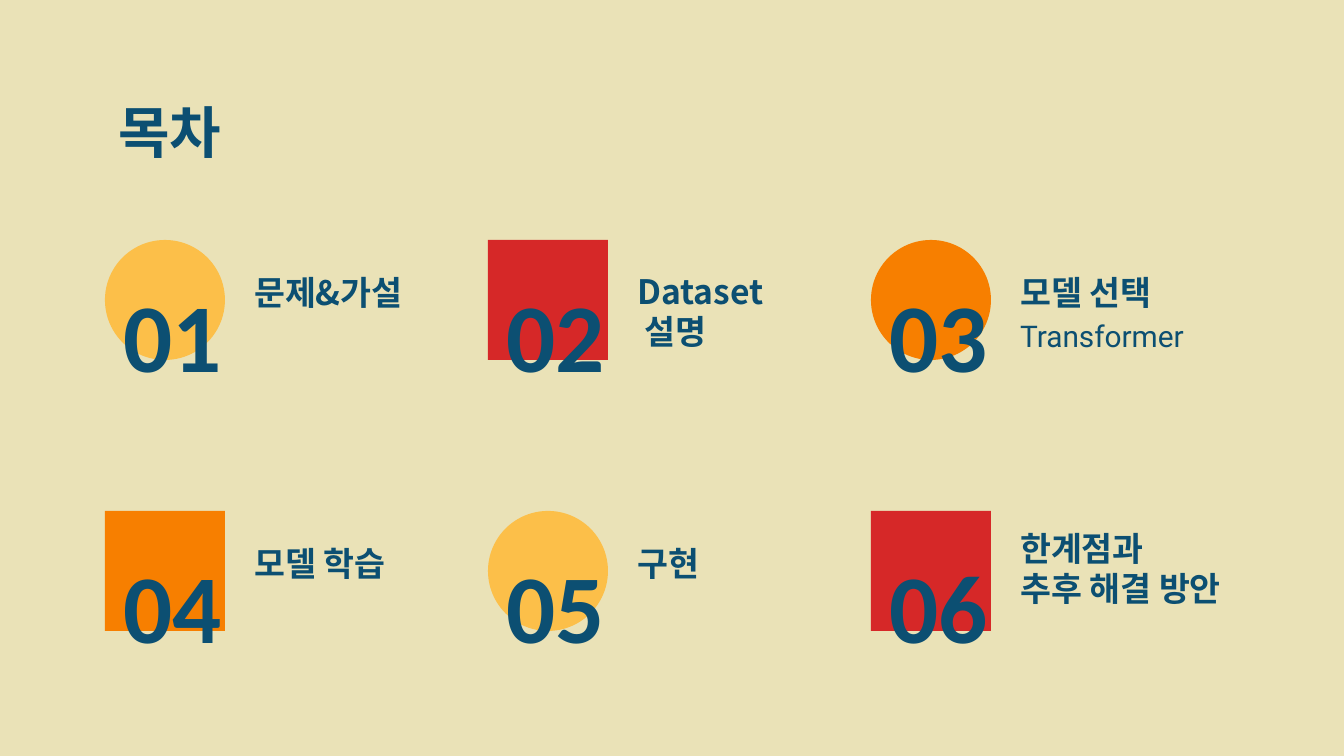
from dataclasses import dataclass

from lxml import etree
from pptx import Presentation
from pptx import util as u
from pptx.dml.color import RGBColor
from pptx.enum import shapes, text
from pptx.oxml.ns import qn


@dataclass(frozen=True)
class Theme:
    back: str = "EAE2B7"
    ink: str = "0C4F72"
    gold: str = "FCBF49"
    red: str = "D62828"
    orange: str = "F77F00"
    latin: str = "Calibri"
    korean: str = "Noto Sans CJK KR"
    sub: str = "Roboto"
    head_size: int = 30
    num_size: int = 52
    label_size: int = 18
    sub_size: int = 16
    head_line: float = 39
    label_line: float = 21.5


T = Theme()
OVAL = shapes.MSO_SHAPE.OVAL
RECT = shapes.MSO_SHAPE.RECTANGLE

HEAD = "목차"
# badge shape, colour, label, label drop in px, subtitle
ITEMS = [
    (OVAL, T.gold, "문제&가설", 22, ""),
    (RECT, T.red, "Dataset\n 설명", 61, ""),
    (OVAL, T.orange, "모델 선택", 22, "Transformer"),
    (RECT, T.orange, "모델 학습", 22, ""),
    (OVAL, T.gold, "구현", 22, ""),
    (RECT, T.red, "한계점과 \v추후 해결 방안", 47, ""),
]

# Grid in px
WIDE, HIGH = 1344, 756
LEFT, TOP = 105, 240
COLS, STEP_X, STEP_Y = 3, 383, 271
BADGE, NUM_W, NUM_H, NUM_DROP = 120, 136, 143, 22
LABEL_W, LABEL_H = STEP_X - NUM_W, 64
SUB_DROP, SUB_H = 64, 101
INSET = u.Inches(0.1)


def px(n):
    return u.Emu(round(n * 914400 / 134.4))


def place(*box):
    return [px(n) for n in box]


def write(slide, box, words, font, size, bold=True, line=None,
          anchor=text.MSO_ANCHOR.TOP, align=text.PP_ALIGN.LEFT):
    frame = slide.shapes.add_textbox(*place(*box)).text_frame
    frame.text = words
    frame.word_wrap = True
    frame.vertical_anchor = anchor
    frame.margin_left = frame.margin_right = INSET
    frame.margin_top = frame.margin_bottom = INSET
    for par in frame.paragraphs:
        par.alignment = align
        if line:
            par.line_spacing = u.Pt(line)
        for run in par.runs:
            run.font.name = font
            run.font.size = u.Pt(size)
            run.font.bold = bold
            run.font.color.rgb = RGBColor.from_string(T.ink)
            east = etree.Element(qn("a:ea"), typeface=T.korean)
            run.font._element.find(qn("a:latin")).addnext(east)


def badge(slide, kind, x, y, color):
    shape = slide.shapes.add_shape(kind, *place(x, y, BADGE, BADGE))
    shape.shadow.inherit = False
    shape.fill.solid()
    shape.fill.fore_color.rgb = RGBColor.from_string(color)
    shape.line.fill.background()


def main():
    deck = Presentation()
    deck.slide_width, deck.slide_height = px(WIDE), px(HIGH)
    slide = deck.slides.add_slide(deck.slide_layouts[6])
    slide.background.fill.solid()
    slide.background.fill.fore_color.rgb = RGBColor.from_string(T.back)

    write(slide, (LEFT, 79, WIDE - 2 * LEFT, 85), HEAD,
          T.latin, T.head_size, line=T.head_line)
    for i, (kind, color, label, drop, sub) in enumerate(ITEMS):
        row, col = divmod(i, COLS)
        x, y = LEFT + col * STEP_X, TOP + row * STEP_Y
        badge(slide, kind, x, y, color)
        write(slide, (x, y + NUM_DROP, NUM_W, NUM_H), f"{i + 1:02}",
              T.latin, T.num_size, anchor=text.MSO_ANCHOR.MIDDLE,
              align=text.PP_ALIGN.CENTER)
        write(slide, (x + NUM_W, y + drop, LABEL_W, LABEL_H), label,
              T.korean, T.label_size, line=T.label_line,
              anchor=text.MSO_ANCHOR.BOTTOM)
        if sub:
            write(slide, (x + NUM_W, y + SUB_DROP, LABEL_W, SUB_H), sub,
                  T.sub, T.sub_size, bold=False)

    deck.save("out.pptx")


if __name__ == "__main__":
    main()
